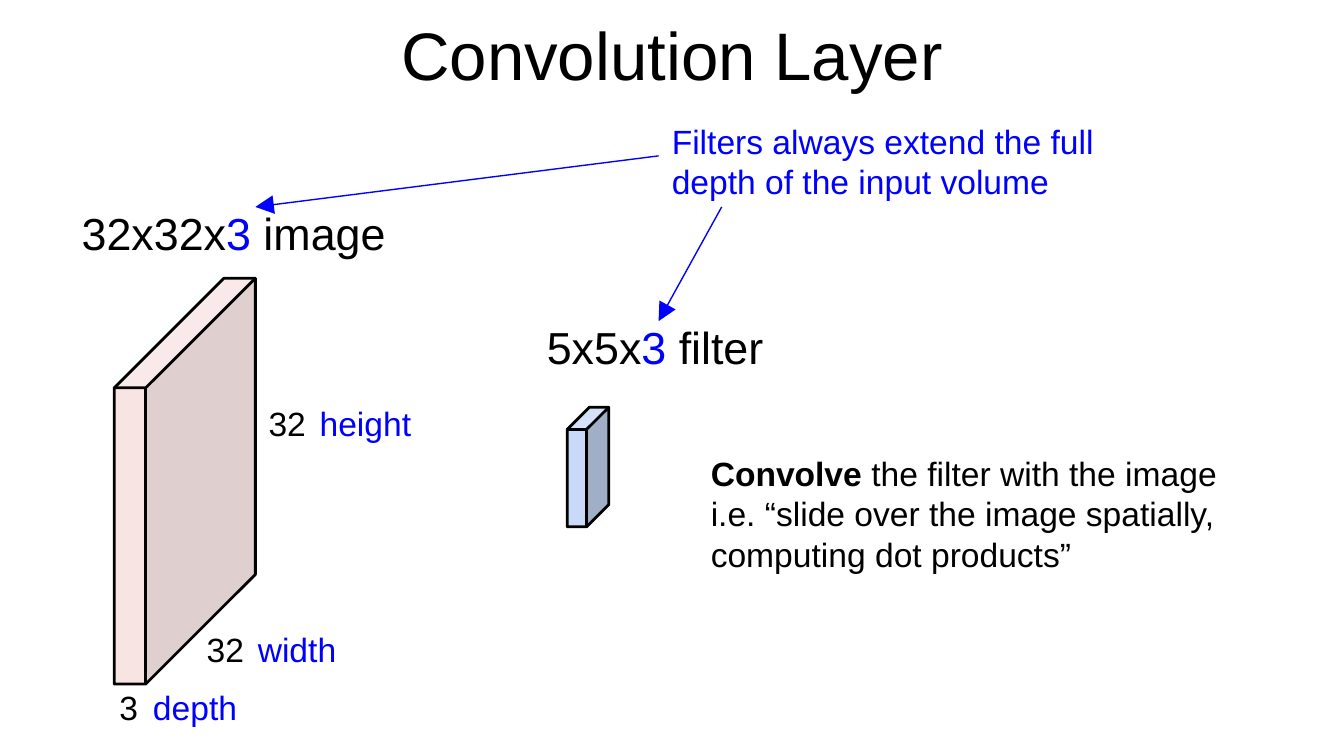
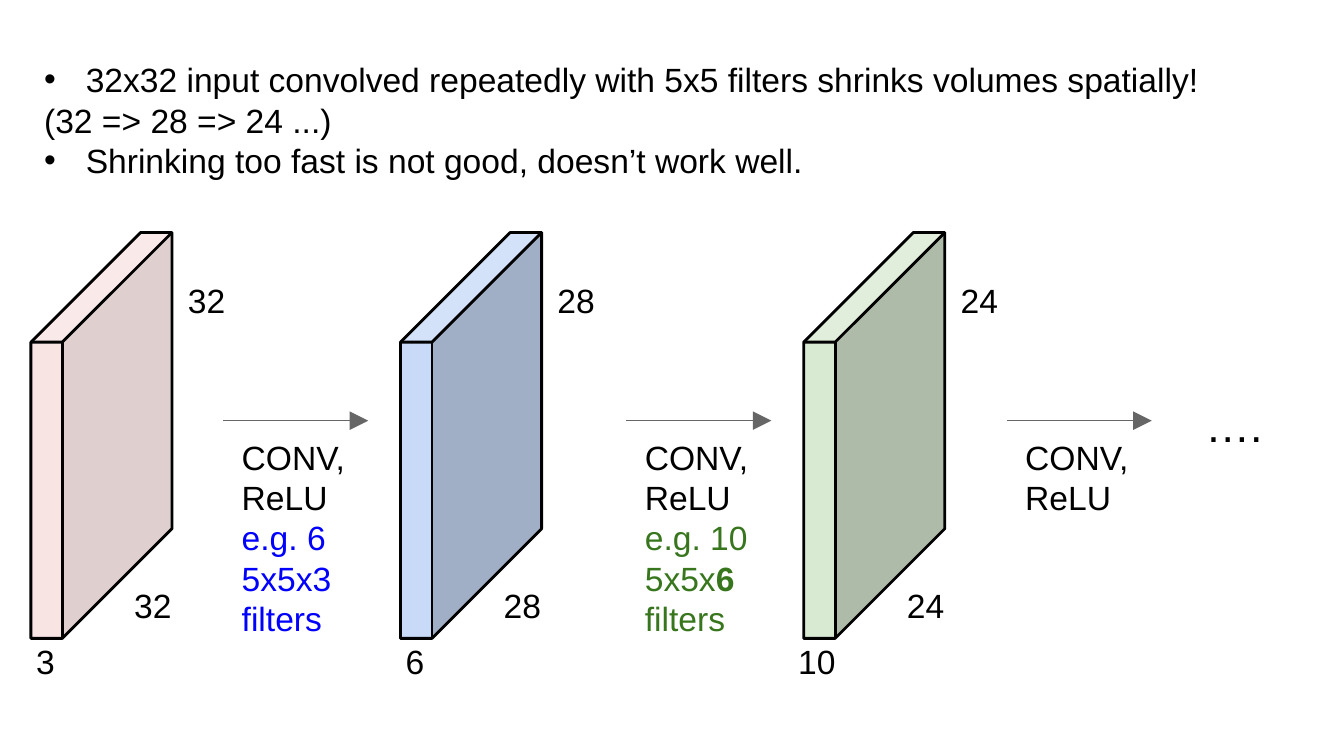
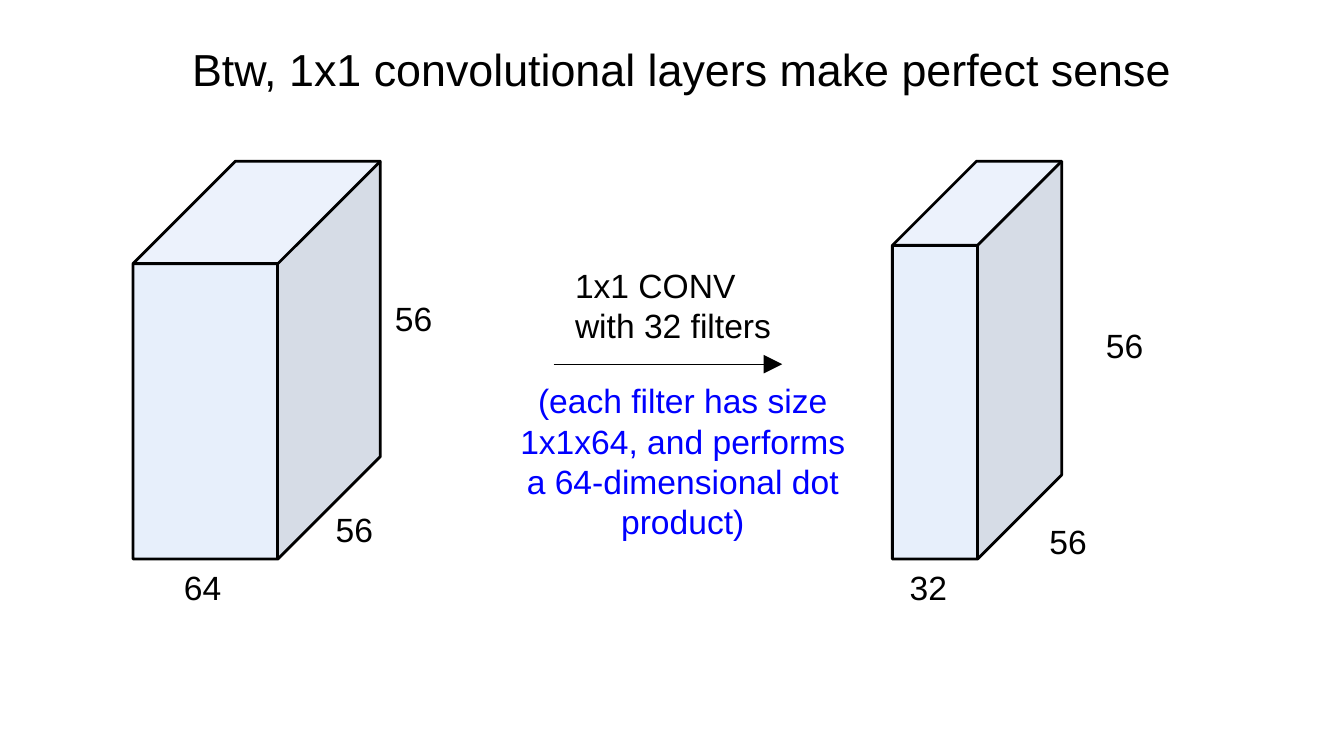
from lxml.etree import SubElement
from pptx import Presentation
from pptx.dml.color import RGBColor
from pptx.enum.shapes import MSO_CONNECTOR, MSO_SHAPE
from pptx.enum.text import PP_ALIGN
from pptx.oxml.ns import qn
from pptx.util import Inches, Pt

FONT = "Arial"
COLORS = {
    "black": "000000",
    "accent": "0000FF",
    "green_text": "38761D",
    "gray": "666666",
    "pink": "F4CCCC",
    "blue": "C9DAF8",
    "green": "D9EAD3",
}


class Deck:
    """Hold the shared style and the current slide, and draw each kind of element."""

    def __init__(self):
        self.prs = Presentation()
        self.prs.slide_width = Inches(10)
        self.prs.slide_height = Inches(10) * 9 // 16
        self.s = None

    def color(self, name):
        return RGBColor.from_string(COLORS[name])

    def new_slide(self):
        self.s = self.prs.slides.add_slide(self.prs.slide_layouts[6])

    def text(self, x, y, w, h, paragraphs, size=18, color="black",
             align=PP_ALIGN.LEFT, bullets=()):
        sp = self.s.shapes.add_textbox(Inches(x), Inches(y), Inches(w), Inches(h))
        tf = sp.text_frame
        tf.word_wrap = True
        tf.margin_left = tf.margin_right = Inches(0.1)
        tf.margin_top = tf.margin_bottom = Inches(0.1)
        if isinstance(paragraphs, str):
            paragraphs = [paragraphs]
        for i, runs in enumerate(paragraphs):
            p = tf.paragraphs[0] if i == 0 else tf.add_paragraph()
            p.alignment = align
            if i in bullets:
                self.bullet(p)
            if isinstance(runs, str):
                runs = [(runs, color, False)]
            for words, run_color, bold in runs:
                r = p.add_run()
                r.text = words
                r.font.name = FONT
                r.font.size = Pt(size)
                r.font.bold = bold
                r.font.color.rgb = self.color(run_color)

    def bullet(self, p):
        pPr = p._p.get_or_add_pPr()
        pPr.set("marL", str(Inches(0.31)))
        pPr.set("indent", str(-Inches(0.31)))
        SubElement(pPr, qn("a:buFont"), typeface=FONT)
        SubElement(pPr, qn("a:buChar"), char="•")

    def title(self, x, y, w, h, words, size):
        self.text(x, y, w, h, words, size=size, align=PP_ALIGN.CENTER)

    def volume(self, x, y, w, h, slant, fill, alpha=100):
        sp = self.s.shapes.add_shape(MSO_SHAPE.CUBE, Inches(x), Inches(y),
                                     Inches(w), Inches(h))
        sp.adjustments[0] = slant
        sp.shadow.inherit = False
        sp.fill.solid()
        sp.fill.fore_color.rgb = self.color(fill)
        if alpha < 100:
            clr = sp._element.spPr.find(qn("a:solidFill"))[0]
            SubElement(clr, qn("a:alpha"), val=str(alpha * 1000))
        sp.line.color.rgb = self.color("black")
        sp.line.width = Pt(1.5)

    def sizes(self, labels):
        for words, x, y in labels:
            self.text(x, y, 0.54, 0.34, words)

    def arrow(self, x1, y1, x2, y2, color):
        sp = self.s.shapes.add_connector(MSO_CONNECTOR.STRAIGHT, Inches(x1), Inches(y1),
                                         Inches(x2), Inches(y2))
        sp.line.color.rgb = self.color(color)
        sp.line.width = Pt(0.75)
        SubElement(sp.line._get_or_add_ln(), qn("a:tailEnd"), type="triangle",
                   w="lg", len="lg")
        SubElement(sp._element.spPr, qn("a:effectLst"))


def with_depth(before, after):
    return [[(before, "black", False), ("3", "accent", False), (after, "black", False)]]


def convolution_slide(deck):
    deck.new_slide()
    deck.volume(0.85, 2.07, 1.05, 3.02, 0.777, "pink", 52)
    deck.sizes([("32", 1.44, 4.58), ("32", 1.9, 2.9), ("3", 0.79, 5.01)])
    deck.title(0, 0, 10, 0.72, "Convolution Layer", 36)
    deck.volume(4.22, 3.03, 0.31, 0.89, 0.534, "blue")
    deck.text(3.97, 2.28, 2.31, 0.39, with_depth("5x5x", " filter"), size=24)
    deck.text(0.51, 1.43, 3.66, 0.52, with_depth("32x32x", " image"), size=24)
    deck.text(5.19, 3.27, 4.32, 1.31, [
        [("Convolve ", "black", True), ("the filter with the image", "black", False)],
        "i.e. “slide over the image spatially, computing dot products”",
    ])
    deck.text(4.9, 0.8, 3.59, 0.64,
              "Filters always extend the full depth of the input volume", color="accent")
    deck.arrow(5.37, 1.54, 4.9, 2.39, "accent")
    deck.arrow(4.9, 1.16, 1.9, 1.54, "accent")
    for words, x, y in [("width", 1.82, 4.58), ("height", 2.28, 2.9), ("depth", 1.04, 5.01)]:
        deck.text(x, y, 1.27, 0.39, words, color="accent")


def shrinking_slide(deck):
    deck.new_slide()
    deck.text(0.23, 0.34, 9.35, 1.06, [
        "32x32 input convolved repeatedly with 5x5 filters shrinks volumes spatially!",
        "(32 => 28 => 24 ...)",
        "Shrinking too fast is not good, doesn’t work well.",
    ], bullets=(0, 2))

    volumes = [
        (0.23, "pink", 52, "32", "3", 0.06),
        (2.98, "blue", 100, "28", "6", 0.06),
        (5.98, "green", 100, "24", "10", 0.14),
    ]
    for x, fill, alpha, side, depth, shift in volumes:
        deck.volume(x, 1.73, 1.05, 3.02, 0.777, fill, alpha)
        deck.sizes([(side, x + 0.67, 4.25), (side, x + 1.07, 1.98),
                    (depth, x - shift, 4.67)])

    steps = [
        (1.66, 1.08, [[("e.g. 6 5x5x3 filters", "accent", False)]]),
        (4.66, 1.16, [[("e.g. 10 5x5x", "green_text", False), ("6 ", "green_text", True),
                       ("filters", "green_text", False)]]),
        (7.49, 1.08, []),
    ]
    for x, w, example in steps:
        deck.arrow(x, 3.13, x + 1.08, 3.13, "gray")
        deck.text(x + 0.04, 3.15, w, 0.43, ["CONV,", "ReLU"] + example)
    deck.text(8.87, 2.86, 1.05, 0.39, "….", size=24)


def one_by_one_slide(deck):
    deck.new_slide()
    deck.title(0.42, 0.21, 9.3, 1.04, "Btw, 1x1 convolutional layers make perfect sense", 24)
    for x, w, slant in [(0.99, 1.84, 0.414), (6.64, 1.26, 0.497)]:
        deck.volume(x, 1.2, w, 2.96, slant, "blue", 43)
    deck.sizes([("64", 1.27, 4.12), ("56", 2.4, 3.69), ("56", 2.84, 2.12),
                ("32", 6.67, 4.12), ("56", 7.71, 3.78), ("56", 8.13, 2.32)])
    deck.arrow(4.12, 2.71, 5.82, 2.71, "black")
    deck.text(4.18, 1.87, 1.95, 0.47, ["1x1 CONV", "with 32 filters"])
    deck.text(3.74, 2.73, 2.68, 0.67,
              "(each filter has size 1x1x64, and performs a 64-dimensional dot product)",
              color="accent", align=PP_ALIGN.CENTER)


def main():
    deck = Deck()
    convolution_slide(deck)
    shrinking_slide(deck)
    one_by_one_slide(deck)
    deck.prs.save("out.pptx")


if __name__ == "__main__":
    main()
